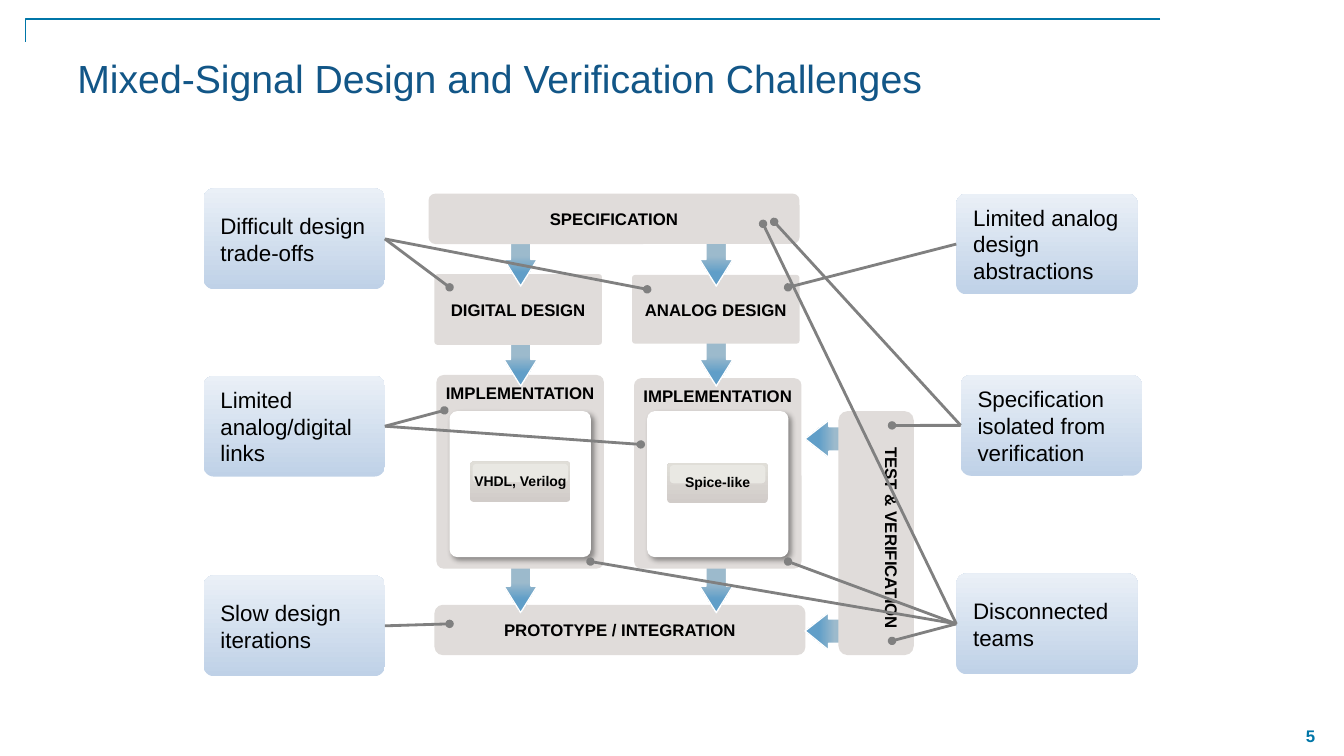
from lxml.etree import SubElement
from pptx import Presentation
from pptx.dml.color import RGBColor
from pptx.enum.shapes import MSO_CONNECTOR, MSO_SHAPE
from pptx.enum.text import MSO_ANCHOR, PP_ALIGN
from pptx.oxml.ns import qn
from pptx.util import Cm, Pt

BLACK = RGBColor(0x00, 0x00, 0x00)
WHITE = RGBColor(0xFF, 0xFF, 0xFF)
TITLE_BLUE = RGBColor(0x12, 0x56, 0x87)
ACCENT_BLUE = RGBColor(0x00, 0x76, 0xA8)
STAGE_GRAY = RGBColor(0xE0, 0xDC, 0xDA)
LEADER_GRAY = RGBColor(0x80, 0x80, 0x80)
HIGHLIGHT = RGBColor(0xE9, 0xE8, 0xE3)
# Gradients as (position, colour) pairs
FLOW_GRADIENT = ((0.60, RGBColor(0x9C, 0xBA, 0xCC)), (0.82, RGBColor(0x60, 0x9E, 0xC8)))
CALLOUT_GRADIENT = ((0, RGBColor(0xBF, 0xD1, 0xE7)), (1, RGBColor(0xEA, 0xF0, 0xF7)))
CHIP_GRADIENT = ((0, RGBColor(0xD1, 0xCC, 0xC9)), (1, RGBColor(0xE0, 0xDE, 0xD8)))

CALLOUT_WIDTH, CALLOUT_HEIGHT = 4.57, 2.54


class Diagram:
    """Draws on one page; every length is in centimetres."""

    font = "Arial"

    def __init__(self, page):
        self.page = page

    def add_text(self, box, text, size, color=BLACK, bold=False, align=PP_ALIGN.CENTER,
                 anchor=MSO_ANCHOR.MIDDLE, margins=(0.25, 0.13, 0.25, 0.13), wrap=True):
        frame = box.text_frame
        frame.word_wrap = wrap
        frame.vertical_anchor = anchor
        (frame.margin_left, frame.margin_top,
         frame.margin_right, frame.margin_bottom) = map(Cm, margins)
        para = frame.paragraphs[0]
        para.alignment = align
        span = para.add_run()
        span.text = text
        span.font.name = self.font
        span.font.size = Pt(size)
        span.font.bold = bold
        span.font.color.rgb = color

    def title(self, text, *place):
        box = self.page.shapes.title
        box.left, box.top, box.width, box.height = map(Cm, place)
        self.add_text(box, text, 28, TITLE_BLUE, align=PP_ALIGN.LEFT,
                      anchor=MSO_ANCHOR.TOP, margins=(0.25, 0.18, 0.25, 0.13))

    def label(self, text, *place, color=BLACK, rotation=0, wrap=True):
        box = self.page.shapes.add_textbox(*map(Cm, place))
        box.rotation = rotation
        self.add_text(box, text, 12, color, bold=True, wrap=wrap)

    def paint(self, shape, fill, angle=0, outline=None):
        """Fill with one colour, or with a gradient at an angle."""
        shape.shadow.inherit = False
        if isinstance(fill, RGBColor):
            shape.fill.solid()
            shape.fill.fore_color.rgb = fill
        else:
            shape.fill.gradient()
            shape.fill.gradient_angle = angle
            for stop, (position, color) in zip(shape.fill.gradient_stops, fill):
                stop.position = position
                stop.color.rgb = color
        if outline is None:
            shape.line.fill.background()
        else:
            shape.line.color.rgb = outline
            shape.line.width = Pt(1)

    def panel(self, place, corner, fill, angle=0):
        box = self.page.shapes.add_shape(MSO_SHAPE.ROUNDED_RECTANGLE, *map(Cm, place))
        box.adjustments[0] = corner
        self.paint(box, fill, angle)
        return box

    def stage(self, text, *place, corner=0.043, **style):
        self.add_text(self.panel(place, corner, STAGE_GRAY), text, 12, bold=True, **style)

    def flow_arrow(self, center_x, center_y):
        length, thickness = 1.9, 0.84
        arrow = self.page.shapes.add_shape(
            MSO_SHAPE.LEFT_RIGHT_ARROW, Cm(center_x - length / 2),
            Cm(center_y - thickness / 2), Cm(length), Cm(thickness))
        arrow.adjustments[0], arrow.adjustments[1] = 0.614, 0.798
        arrow.rotation = 90
        self.paint(arrow, FLOW_GRADIENT, outline=WHITE)

    def feedback_arrow(self, *place):
        arrow = self.page.shapes.add_shape(MSO_SHAPE.BENT_ARROW, *map(Cm, place))
        for index, value in enumerate((0.328, 0.25, 0.32, 0.438)):
            arrow.adjustments[index] = value
        arrow.element.spPr.find(qn("a:xfrm")).set("flipH", "1")
        self.paint(arrow, FLOW_GRADIENT, outline=WHITE)

    def feedback_outline(self, points):
        start, *rest = [(Cm(x), Cm(y)) for x, y in points]
        builder = self.page.shapes.build_freeform(*start)
        builder.add_line_segments(rest, close=True)
        self.paint(builder.convert_to_shape(), FLOW_GRADIENT, 180, WHITE)

    def tool_panel(self, text, left, top, chip_left, chip_top):
        """White panel with a shadow and a glossy chip naming the tool."""
        panel = self.panel((left, top, 3.56, 3.68), 0.055, WHITE)
        shadow = SubElement(panel.element.spPr.find(qn("a:effectLst")), qn("a:outerShdw"),
                            blurRad=str(Pt(4)), dist=str(Pt(3)), dir="2700000",
                            algn="tl", rotWithShape="0")
        color = SubElement(shadow, qn("a:srgbClr"), val=str(BLACK))
        SubElement(color, qn("a:alpha"), val="40000")
        self.panel((chip_left, chip_top, 2.54, 1.02), 0.102, CHIP_GRADIENT, 90)
        gloss = self.panel((chip_left + 0.07, chip_top + 0.06, 2.41, 0.46), 0.207, HIGHLIGHT)
        self.add_text(gloss, text, 10, bold=True, anchor=MSO_ANCHOR.TOP,
                      margins=(0, 0.18, 0, 0.03), wrap=False)

    def line(self, kind, start, end, color, width):
        line = self.page.shapes.add_connector(kind, *map(Cm, start + end))
        line.line.color.rgb = color
        line.line.width = Pt(width)
        SubElement(line.element.spPr, qn("a:effectLst"))
        return line

    def bracket(self, start, end):
        line = self.line(MSO_CONNECTOR.ELBOW, start, end, ACCENT_BLUE, 1)
        guides = line.element.spPr.find(qn("a:prstGeom")).find(qn("a:avLst"))
        SubElement(guides, qn("a:gd"), name="adj1", fmla="val 100000")

    def callout(self, text, left, top, targets, on_left):
        box = self.panel((left, top, CALLOUT_WIDTH, CALLOUT_HEIGHT), 0.102,
                         CALLOUT_GRADIENT, 90)
        self.add_text(box, text, 16, align=PP_ALIGN.LEFT, margins=(0.35, 0.03, 0.03, 0.03))
        edge = (left + CALLOUT_WIDTH if on_left else left, top + CALLOUT_HEIGHT / 2)
        for target in targets:
            leader = self.line(MSO_CONNECTOR.STRAIGHT, target, edge, LEADER_GRAY, 2)
            SubElement(leader.element.spPr.find(qn("a:ln")), qn("a:headEnd"), type="oval")


def main():
    deck = Presentation()
    deck.slide_width, deck.slide_height = Cm(33.87), Cm(19.05)
    diagram = Diagram(deck.slides.add_slide(deck.slide_layouts[5]))

    diagram.label("5", 32.18, 18.01, 1.7, 1.07, color=ACCENT_BLUE)
    diagram.bracket((29.24, 0.48), (0.64, 1.07))
    diagram.title("Mixed-Signal Design and Verification Challenges", 1.7, 1.19, 31.01, 2.74)

    # Each row of arrows sits over the stage it points to and under the stage it leaves
    heading = {"anchor": MSO_ANCHOR.TOP, "margins": (0, 0.13, 0, 0.13)}
    stage_rows = (
        (14.49, (("PROTOTYPE / INTEGRATION", 10.95, 15.24, 9.35, 1.27),), {"corner": 0.167}),
        (8.78, (("IMPLEMENTATION", 15.98, 9.53, 4.22, 4.8),
                ("IMPLEMENTATION", 11, 9.45, 4.22, 4.88)), heading),
        (6.26, (("ANALOG DESIGN", 15.93, 6.93, 4.22, 1.73),
                ("DIGITAL DESIGN", 10.95, 6.91, 4.22, 1.78)), {}),
    )
    for arrow_y, stages, style in stage_rows:
        for stage in stages:
            diagram.stage(*stage, **style)
        for arrow_x in (18.05, 13.12):
            diagram.flow_arrow(arrow_x, arrow_y)
    diagram.stage("SPECIFICATION", 10.8, 4.88, 9.35, 1.27, corner=0.135)

    diagram.feedback_arrow(20.29, 10.59, 1.88, 4.09)
    diagram.feedback_outline((
        (22.17, 14.4), (22.17, 15.39), (21.92, 15.98), (21.34, 16.21), (20.88, 16.21),
        (20.88, 16.38), (20.29, 15.9), (20.88, 15.44), (20.88, 15.6), (21.34, 15.6),
        (21.54, 15.39), (21.54, 14.22)))
    diagram.panel((21.13, 10.36, 1.9, 6.15), 0.124, STAGE_GRAY)
    diagram.label("TEST & VERIFICATION", 19.91, 13.18, 5.13, 0.76, rotation=90, wrap=False)

    diagram.tool_panel("VHDL, Verilog", 11.33, 10.36, 11.84, 11.63)
    diagram.tool_panel("Spice-like", 16.31, 10.36, 16.81, 11.66)

    left_callouts = (
        ("Difficult design trade-offs", 5.13, 4.75, ((11.33, 7.24), (16.31, 7.29))),
        ("Limited analog/digital links", 5.13, 9.47, ((11.2, 10.34), (16.15, 11.2))),
        ("Slow design iterations", 5.13, 14.5, ((11.33, 15.72),)),
    )
    right_callouts = (
        ("Limited analog design abstractions", 24.1, 4.88, ((19.86, 7.24),)),
        ("Specification isolated from verification", 24.21, 9.45,
         ((19.51, 5.59), (22.48, 10.72))),
        ("Disconnected teams", 24.1, 14.45,
         ((22.48, 16.15), (19.86, 14.15), (19.23, 5.64), (14.88, 14.15))),
    )
    for callouts, on_left in ((left_callouts, True), (right_callouts, False)):
        for callout in callouts:
            diagram.callout(*callout, on_left)

    deck.save("out.pptx")


if __name__ == "__main__":
    main()
